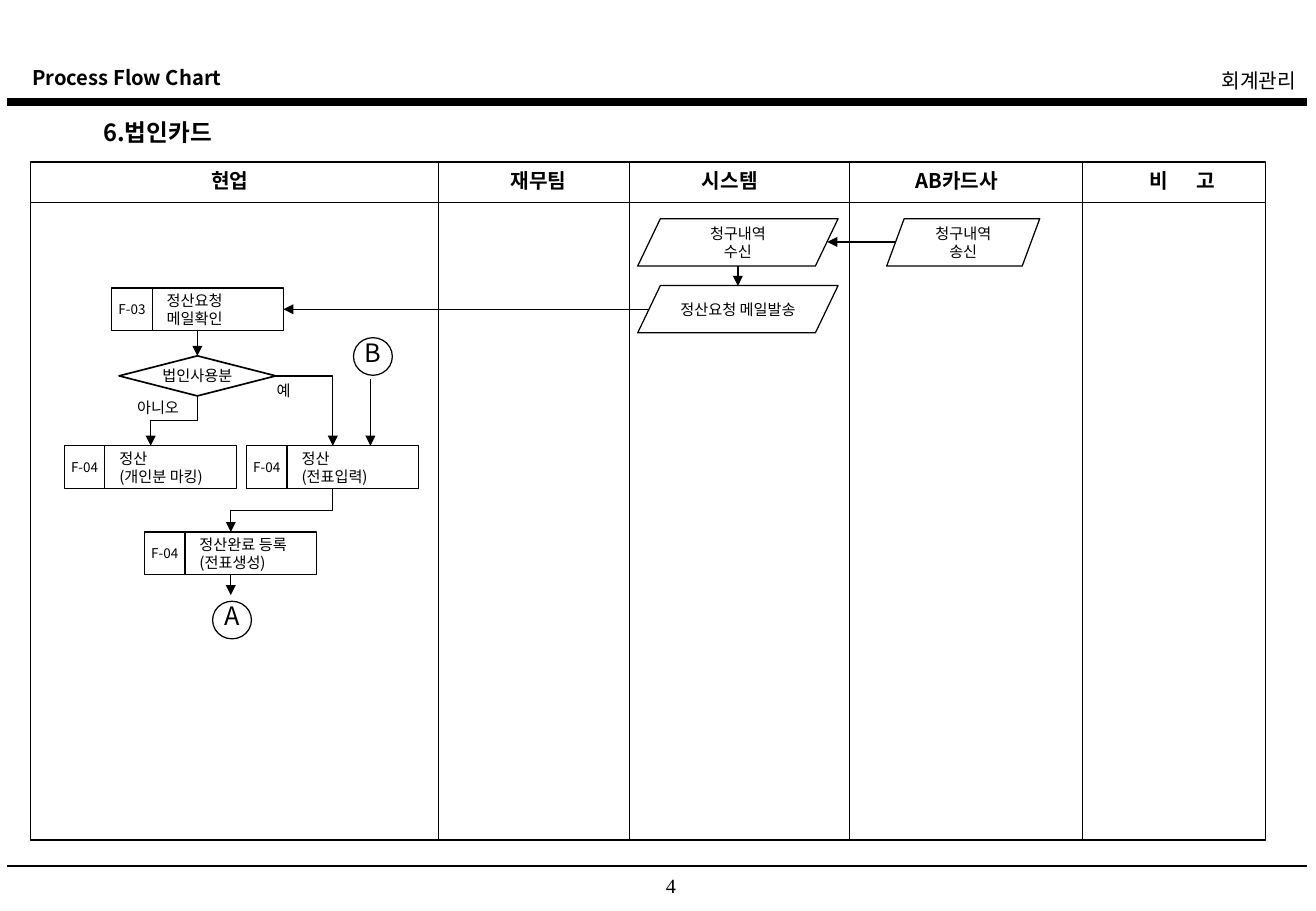
"""Build the corporate card process flow chart slide on a grid of 130 by 90 cells."""
from dataclasses import dataclass

from lxml import etree
from pptx import Presentation
from pptx.dml.color import RGBColor
from pptx.enum.dml import MSO_LINE
from pptx.enum.shapes import MSO_CONNECTOR, MSO_SHAPE
from pptx.enum.text import MSO_ANCHOR, MSO_AUTO_SIZE, PP_ALIGN
from pptx.oxml.ns import qn
from pptx.util import Inches, Pt

STRAIGHT, ELBOW = MSO_CONNECTOR.STRAIGHT, MSO_CONNECTOR.ELBOW
PROCESS, DECISION = MSO_SHAPE.FLOWCHART_PROCESS, MSO_SHAPE.DIAMOND
DATA, CIRCLE, FRAME = MSO_SHAPE.PARALLELOGRAM, MSO_SHAPE.OVAL, MSO_SHAPE.RECTANGLE
LEFT, CENTER, RIGHT = PP_ALIGN.LEFT, PP_ALIGN.CENTER, PP_ALIGN.RIGHT
TOP, MIDDLE = MSO_ANCHOR.TOP, MSO_ANCHOR.MIDDLE
SOLID, NO_AUTOFIT = MSO_LINE.SOLID, MSO_AUTO_SIZE.NONE

SLIDE_WIDTH, SLIDE_HEIGHT = Inches(10.84), Inches(7.5)
COLUMNS, ROWS = 130, 90
KOREAN, LATIN, SERIF = "Noto Sans CJK KR", "Cabin", "Times New Roman"
BLACK = "000000"
INSETS, NO_INSETS = (0.1, 0.05, 0.1, 0.05), (0, 0, 0, 0)
TITLE_ONLY = 5
CHART_LEFT, CHART_RIGHT, CHART_TOP, HEADING_BOTTOM, CHART_BOTTOM = 3, 125, 16, 20, 83
SLIP_WIDTH, SLIP_HEIGHT, CODE_WIDTH = 17, 4.2, 4
DATA_HEIGHT = 4.68


@dataclass(frozen=True)
class Lane:
    """A department column: its left edge, the centre of its heading and the heading."""
    left: float
    heading_centre: float
    heading: str
    spacing: int = 0


@dataclass(frozen=True)
class Slip:
    """A process step with its form code."""
    left: float
    top: float
    code: str
    step: str


@dataclass(frozen=True)
class DataStep:
    """A data step in a parallelogram."""
    left: float
    top: float
    width: float
    slant: float
    step: str


@dataclass(frozen=True)
class Flow:
    """An arrow between two steps: straight, a right-then-down corner or a downward step."""
    start: tuple[float, float]
    end: tuple[float, float]
    route: str = "straight"


LANES = [
    Lane(3, 22.7, "현업"),
    Lane(43.3, 53.2, "재무팀"),
    Lane(62.2, 72.1, "시스템"),
    Lane(83.9, 94.5, "AB카드사"),
    Lane(106.9, 116.8, "비 고", 700),
]
SLIPS = [
    Slip(11.04, 28.44, "F-03", "정산요청\n메일확인"),
    Slip(6.36, 44.04, "F-04", "정산\n(개인분 마킹)"),
    Slip(24.36, 44.04, "F-04", "정산\n(전표입력)"),
    Slip(14.28, 52.56, "F-04", "정산완료 등록\n(전표생성)"),
]
DATA_STEPS = [
    DataStep(87.6, 21.6, 15.12, 0.37, "청구내역\n송신"),
    DataStep(63, 21.6, 19.8, 0.48, "청구내역\n수신"),
    DataStep(63, 28.2, 19.8, 0.48, "정산요청 메일발송"),
]
FLOWS = [
    Flow((88.44, 23.9), (81.72, 23.9)),
    Flow((72.9, 26.28), (72.9, 28.25)),
    Flow((64.08, 30.55), (28, 30.55)),
    Flow((19.5, 32.6), (19.5, 35.16)),
    Flow((27.24, 37.14), (32.88, 44.04), "corner"),
    Flow((19.5, 39.12), (14.88, 44.04), "step"),
    Flow((36.6, 37.44), (36.6, 44.04)),
    Flow((32.88, 48.24), (22.8, 52.56), "step"),
    Flow((22.8, 56.76), (22.8, 58.8)),
]
PAGE_LINKS = [(21, 59.4, "A"), (34.92, 33.36, "B")]
BRANCHES = [(26.16, 37.08, 3.72, "예"), (12.36, 38.76, 6.48, "아니오")]


def across(cells: float) -> int:
    """Turn grid columns into a length."""
    return round(cells * SLIDE_WIDTH / COLUMNS)


def down(cells: float) -> int:
    """Turn grid rows into a length."""
    return round(cells * SLIDE_HEIGHT / ROWS)


def box(left: float, top: float, width: float, height: float) -> tuple[int, int, int, int]:
    """Turn a box in cells into lengths."""
    return across(left), down(top), across(width), down(height)


def color(hex_code: str) -> RGBColor:
    """Turn a hex string into a colour."""
    return RGBColor.from_string(hex_code)


def write(shape, text: str, *, size: float = 9, bold: bool = False, font: str = KOREAN,
          align=LEFT, anchor=TOP, wrap: bool = True, insets=INSETS, spacing: int = 0) -> None:
    """Put formatted text into a shape, one paragraph a line."""
    frame = shape.text_frame
    frame.auto_size, frame.word_wrap, frame.vertical_anchor = NO_AUTOFIT, wrap, anchor
    (frame.margin_left, frame.margin_top,
     frame.margin_right, frame.margin_bottom) = map(Inches, insets)
    frame.text = text
    for paragraph in frame.paragraphs:
        paragraph.alignment = align
        for run in paragraph.runs:
            run.font.size, run.font.bold, run.font.name = Pt(size), bold, font
            run.font.color.rgb = color(BLACK)
            properties = run.font._element
            etree.SubElement(properties, qn("a:ea")).set("typeface", KOREAN)
            if spacing:
                properties.set("spc", str(spacing))


def label(slide, area: tuple[float, float, float, float], text: str, **style) -> None:
    """Add a text box."""
    write(slide.shapes.add_textbox(*box(*area)), text, **style)


def outline(slide, kind, area: tuple[float, float, float, float], weight: float = 0.75):
    """Add an unfilled shape with a black outline."""
    shape = slide.shapes.add_shape(kind, *box(*area))
    shape.shadow.inherit = False
    shape.fill.background()
    shape.line.color.rgb, shape.line.width = color(BLACK), Pt(weight)
    return shape


def line(slide, start: tuple[float, float], end: tuple[float, float],
         weight: float = 0.75, kind=STRAIGHT):
    """Add a black line between two grid points."""
    connector = slide.shapes.add_connector(
        kind, across(start[0]), down(start[1]), across(end[0]), down(end[1]))
    connector.line.color.rgb, connector.line.width = color(BLACK), Pt(weight)
    connector.line.dash_style = SOLID
    etree.SubElement(connector._element.spPr, qn("a:effectLst"))
    return connector


def draw_flow(slide, flow: Flow) -> None:
    """Draw an arrow; a downward step is a sideways elbow turned by 90 degrees."""
    start, end = flow.start, flow.end
    if flow.route == "step":
        middle_x, middle_y = (start[0] + end[0]) / 2, (start[1] + end[1]) / 2
        half_x, half_y = (end[1] - start[1]) / 2, (start[0] - end[0]) / 2
        start, end = (middle_x - half_x, middle_y - half_y), (middle_x + half_x, middle_y + half_y)
    arrow = line(slide, start, end, kind=STRAIGHT if flow.route == "straight" else ELBOW)
    properties = arrow._element.spPr
    if flow.route == "step":
        properties.find(qn("a:xfrm")).set("rot", "5400000")
    elif flow.route == "corner":
        properties.find(qn("a:prstGeom")).set("prst", "bentConnector2")
    etree.SubElement(properties.find(qn("a:ln")), qn("a:tailEnd")).set("type", "triangle")


def draw_slip(slide, slip: Slip) -> None:
    """Draw a process step with its code cell."""
    outline(slide, PROCESS, (slip.left, slip.top, SLIP_WIDTH, SLIP_HEIGHT))
    divider = slip.left + CODE_WIDTH
    line(slide, (divider, slip.top), (divider, slip.top + SLIP_HEIGHT))
    label(slide, (slip.left, slip.top, CODE_WIDTH, SLIP_HEIGHT), slip.code,
          size=8, align=CENTER, anchor=MIDDLE, insets=NO_INSETS)
    label(slide, (divider + 0.25, slip.top, 12, SLIP_HEIGHT), slip.step,
          anchor=MIDDLE, wrap=False, insets=(0.1, 0, 0.1, 0))


def draw_page_frame(slide) -> None:
    """Draw the header, the footer and the title."""
    label(slide, (2, 5.88, 52.2, 3.6), "Process Flow Chart", size=12, bold=True)
    label(slide, (73, 6.12, 56.2, 3.6), "회계관리", size=12, align=RIGHT)
    for row, weight in ((10.08, 4.5), (85.56, 1)):
        line(slide, (0.72, row), (129.1, row), weight)
    label(slide, (61.6, 85.68, 9.36, 3.24), "4", size=12, font=SERIF, align=CENTER)
    title = slide.shapes.title
    title.left, title.top, title.width, title.height = box(9, 11.04, 21, 4.1)
    write(title, "6.법인카드", size=14, bold=True)


def draw_lanes(slide) -> None:
    """Draw the chart frame with its department lanes."""
    outline(slide, FRAME, (CHART_LEFT, CHART_TOP, CHART_RIGHT - CHART_LEFT, CHART_BOTTOM - CHART_TOP))
    line(slide, (CHART_LEFT, HEADING_BOTTOM), (CHART_RIGHT, HEADING_BOTTOM))
    for lane in LANES:
        if lane.left > CHART_LEFT:
            line(slide, (lane.left, CHART_TOP), (lane.left, CHART_BOTTOM))
        label(slide, (lane.heading_centre - 9, CHART_TOP, 18, 3.6), lane.heading,
              size=12, bold=True, align=CENTER, spacing=lane.spacing)


def draw_steps(slide) -> None:
    """Draw every step, branch label and arrow of the process."""
    for data in DATA_STEPS:
        shape = outline(slide, DATA, (data.left, data.top, data.width, DATA_HEIGHT))
        shape.adjustments[0] = data.slant
        write(shape, data.step, font=LATIN, align=CENTER, anchor=MIDDLE, wrap=False)
    for slip in SLIPS:
        draw_slip(slide, slip)
    decision = outline(slide, DECISION, (11.76, 35.16, 15.48, 3.96), 1)
    write(decision, "법인사용분", align=CENTER, anchor=MIDDLE, wrap=False)
    for left, top, width, answer in BRANCHES:
        label(slide, (left, top, width, 3), answer, wrap=False)
    for left, top, letter in PAGE_LINKS:
        write(outline(slide, CIRCLE, (left, top, 3.84, 3.72)), letter, size=15,
              align=CENTER, anchor=MIDDLE, wrap=False, insets=(0, 0, 0, 0.07))
    for flow in FLOWS:
        draw_flow(slide, flow)


def main() -> None:
    """Build and save the slide."""
    deck = Presentation()
    deck.slide_width, deck.slide_height = SLIDE_WIDTH, SLIDE_HEIGHT
    slide = deck.slides.add_slide(deck.slide_layouts[TITLE_ONLY])
    draw_page_frame(slide)
    draw_lanes(slide)
    draw_steps(slide)
    deck.save("out.pptx")


if __name__ == "__main__":
    main()
